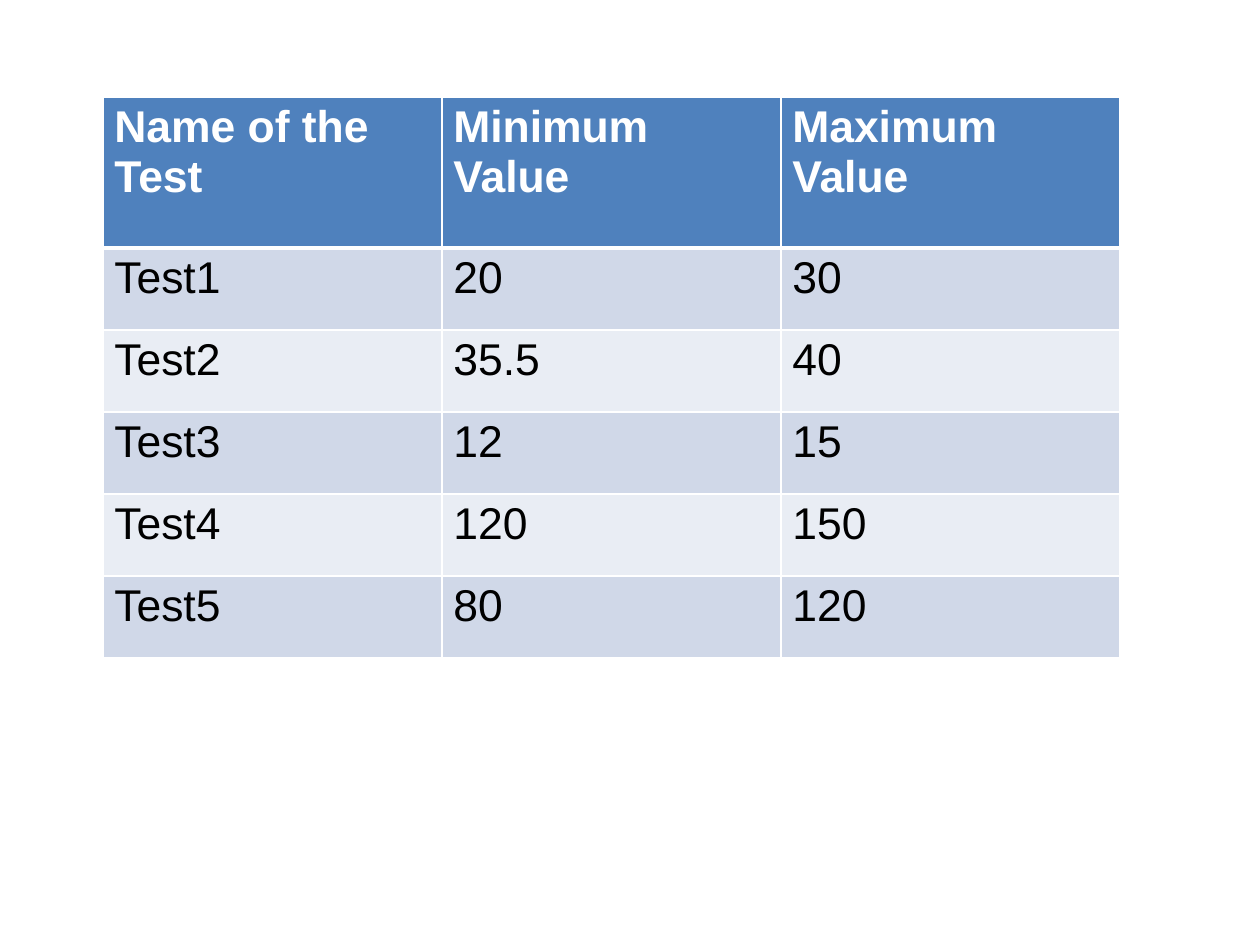
"""Build a slide with a table of tests and their minimum and maximum values."""
from dataclasses import dataclass

from lxml.etree import SubElement
from pptx import Presentation
from pptx.dml.color import RGBColor
from pptx.oxml.ns import qn
from pptx.util import Pt

PX = 8000


@dataclass(frozen=True)
class Theme:
    font: str = "Arial"
    size: int = 28
    header_fill: str = "4F81BD"
    header_text: str = "FFFFFF"
    bands: tuple = ("D0D8E8", "E9EDF4")
    body_text: str = "000000"
    rule: str = "FFFFFF"
    thin: int = 1
    thick: int = 3


def add_borders(cell, widths):
    properties = cell._tc.get_or_add_tcPr()
    for position, (side, width) in enumerate(widths.items()):
        border = SubElement(properties, qn(f"a:ln{side}"), w=str(Pt(width)))
        fill = SubElement(border, qn("a:solidFill"))
        SubElement(fill, qn("a:srgbClr"), val=theme.rule)
        properties.insert(position, border)


theme = Theme()
LEFT, TOP = 103, 97
COLUMN_WIDTH = 339
HEADER_HEIGHT, TEST_HEIGHT = 151, 82

limits = [
    ("Name of the Test", "Minimum Value", "Maximum Value"),
    ("Test1", "20", "30"),
    ("Test2", "35.5", "40"),
    ("Test3", "12", "15"),
    ("Test4", "120", "150"),
    ("Test5", "80", "120"),
]
heights = [HEADER_HEIGHT] + [TEST_HEIGHT] * (len(limits) - 1)
column_count = len(limits[0])

deck = Presentation()
deck.slide_width, deck.slide_height = 1260 * PX, 945 * PX
slide = deck.slides.add_slide(deck.slide_layouts[6])

test_limits = slide.shapes.add_table(
    len(limits), column_count, LEFT * PX, TOP * PX,
    column_count * COLUMN_WIDTH * PX, sum(heights) * PX,
).table
for column in test_limits.columns:
    column.width = COLUMN_WIDTH * PX

for index, (entries, height) in enumerate(zip(limits, heights)):
    is_header = index == 0
    background = theme.header_fill if is_header else theme.bands[(index - 1) % 2]
    color = theme.header_text if is_header else theme.body_text
    widths = {
        "L": theme.thin,
        "R": theme.thin,
        "T": theme.thick if index == 1 else theme.thin,
        "B": theme.thick if is_header else theme.thin,
    }
    test_limits.rows[index].height = height * PX
    for cell, entry in zip(test_limits.rows[index].cells, entries):
        cell.fill.solid()
        cell.fill.fore_color.rgb = RGBColor.from_string(background)
        add_borders(cell, widths)
        run = cell.text_frame.paragraphs[0].add_run()
        run.text = entry
        run.font.name = theme.font
        run.font.size = Pt(theme.size)
        run.font.bold = is_header
        run.font.color.rgb = RGBColor.from_string(color)

deck.save("out.pptx")
